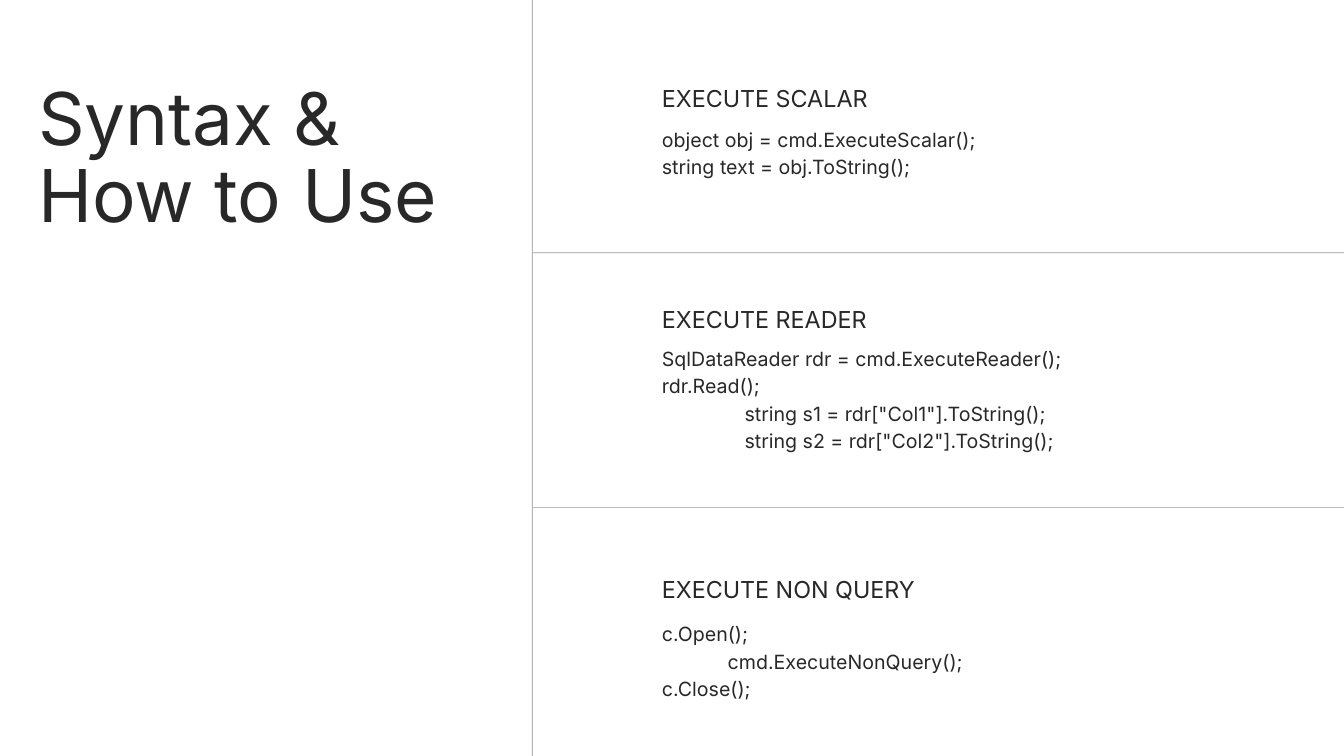
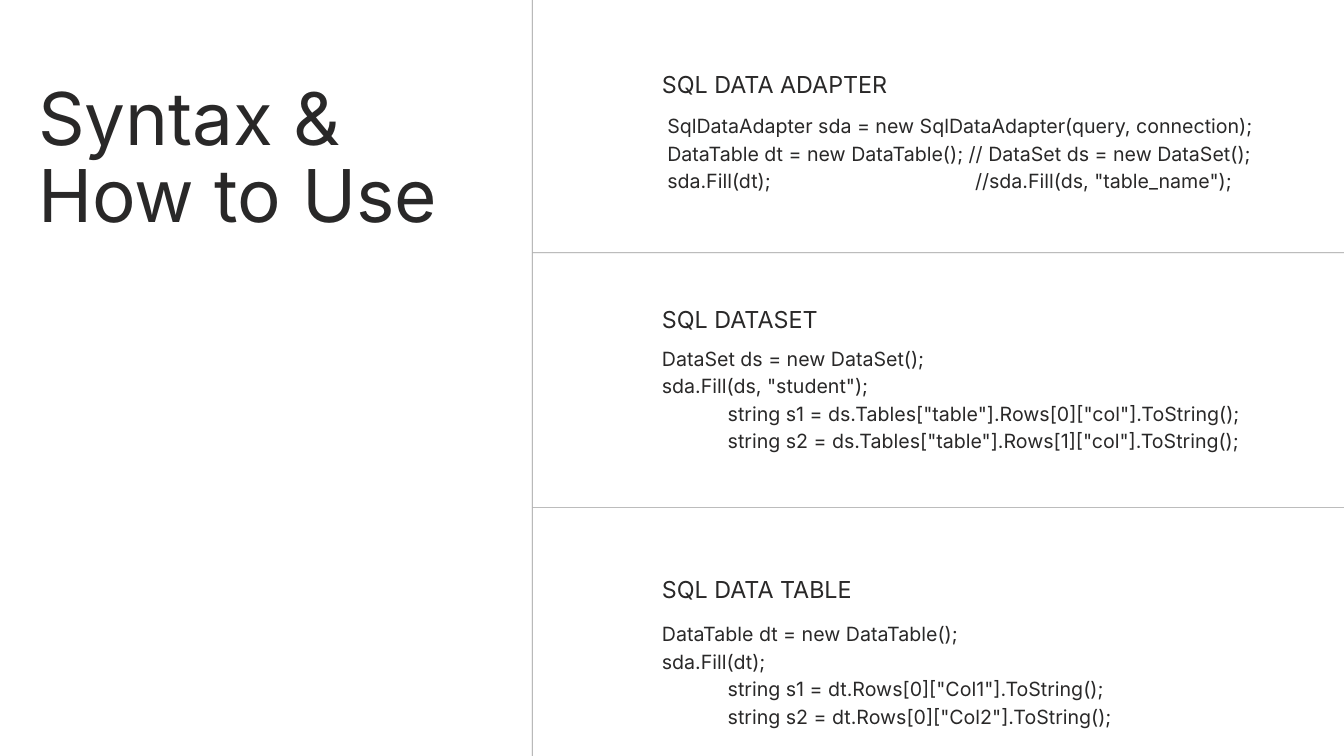
from collections import namedtuple

from lxml import etree
from pptx import Presentation, util as u
from pptx.dml.color import RGBColor
from pptx.enum import shapes, text
from pptx.oxml.ns import qn

Box = namedtuple("Box", "left top width height")
# Heading and code tops are measured from the top of the section's row
Section = namedtuple("Section", "heading heading_top code_top lines inset tab",
                     defaults=(0, None))

INK = "292828"
PAPER = "FFFFFF"
FONT = "Inter"
WIDTH, HEIGHT = 20, 11.25

TITLE = {"size": u.Pt(78), "spacing": u.Pt(81.9)}
HEADING = {"size": u.Pt(25), "spacing": u.Pt(35)}
CODE = {"size": u.Pt(21), "spacing": u.Pt(29.4)}
CODE_LINE = 0.4

# Layout: a title column, then three rows parted by rules
TITLE_BOX = Box(0.57, 1.25, 6.18, 2.31)
COLUMN_RULE = 7.92
BLEED = 0.14
ROW_LEFT = 7.93
ROW_EDGES = [0, 3.76, 7.55, HEIGHT]
ROWS = [Box(ROW_LEFT, top, WIDTH - ROW_LEFT, bottom - top)
        for top, bottom in zip(ROW_EDGES, ROW_EDGES[1:])]
TEXT_INDENT, TEXT_WIDTH = 1.92, 9.03

# Each code line is (indent in inches, text)
STEP, WIDE_STEP = 0.98, 1.23
SLIDES = [
    [
        Section("EXECUTE SCALAR", 1.18, 1.84, [
            (0, "object obj = cmd.ExecuteScalar();"),
            (0, "string text = obj.ToString();")]),
        Section("EXECUTE READER", 0.71, 1.34, [
            (0, "SqlDataReader rdr = cmd.ExecuteReader();"),
            (0, "rdr.Read();"),
            (WIDE_STEP, 'string s1 = rdr["Col1"].ToString();'),
            (WIDE_STEP, 'string s2 = rdr["Col2"].ToString();')]),
        Section("EXECUTE NON QUERY", 0.94, 1.65, [
            (0, "c.Open();"),
            (STEP, "cmd.ExecuteNonQuery();"),
            (0, "c.Close();")]),
    ],
    [
        Section("SQL DATA ADAPTER", 0.98, 1.64, [
            (0, "SqlDataAdapter sda = new SqlDataAdapter(query, connection);"),
            (0, "DataTable dt = new DataTable(); // DataSet ds = new DataSet();"),
            (0, 'sda.Fill(dt);\t//sda.Fill(ds, "table_name");')],
            inset=0.08, tab=4.58),
        Section("SQL DATASET", 0.71, 1.34, [
            (0, "DataSet ds = new DataSet();"),
            (0, 'sda.Fill(ds, "student");'),
            (STEP, 'string s1 = ds.Tables["table"].Rows[0]["col"].ToString();'),
            (STEP, 'string s2 = ds.Tables["table"].Rows[1]["col"].ToString();')]),
        Section("SQL DATA TABLE", 0.94, 1.65, [
            (0, "DataTable dt = new DataTable();"),
            (0, "sda.Fill(dt);"),
            (STEP, 'string s1 = dt.Rows[0]["Col1"].ToString();'),
            (STEP, 'string s2 = dt.Rows[0]["Col2"].ToString();')]),
    ],
]


def paint(color, value):
    color.rgb = RGBColor.from_string(value)


def set_indent(para, indent, tab):
    """Set the left margin and an optional tab stop, in inches."""
    properties = para._p.get_or_add_pPr()
    if indent:
        properties.set("marL", str(u.Inches(indent)))
    if tab:
        stops = etree.SubElement(properties, qn("a:tabLst"))
        etree.SubElement(stops, qn("a:tab"), pos=str(u.Inches(tab)), algn="l")


def add_text(parent, box, lines, style, inset=0, tab=None):
    frame = parent.add_textbox(*map(u.Inches, box)).text_frame
    settings = {"word_wrap": True, "margin_left": u.Inches(inset),
                "margin_top": 0, "margin_right": 0, "margin_bottom": 0,
                "auto_size": text.MSO_AUTO_SIZE.SHAPE_TO_FIT_TEXT}
    for name, value in settings.items():
        setattr(frame, name, value)
    for index, (indent, words) in enumerate(lines):
        para = frame.add_paragraph() if index else frame.paragraphs[0]
        para.line_spacing = style["spacing"]
        set_indent(para, indent, tab if "\t" in words else None)
        span = para.add_run()
        span.text = words
        for name, value in {"name": FONT, "size": style["size"]}.items():
            setattr(span.font, name, value)
        paint(span.font.color, INK)


def add_rule(page, start, end, opacity):
    rule = page.shapes.add_connector(shapes.MSO_CONNECTOR.STRAIGHT,
                                     *map(u.Inches, (*start, *end)))
    rule.line.width = u.Pt(0.75)
    paint(rule.line.color, INK)
    color = rule.line._ln.find(".//" + qn("a:srgbClr"))
    etree.SubElement(color, qn("a:alpha"), val=str(opacity * 1000))
    etree.SubElement(rule._element.spPr, qn("a:effectLst"))


def add_section(page, row, section):
    """Heading with its code below, grouped inside one row."""
    group = page.shapes.add_group_shape().shapes
    left = row.left + TEXT_INDENT
    add_text(group, Box(left, row.top + section.heading_top, TEXT_WIDTH, 0.45),
             [(0, section.heading)], HEADING)
    add_text(group, Box(left, row.top + section.code_top, TEXT_WIDTH,
                        CODE_LINE * len(section.lines)),
             section.lines, CODE, section.inset, section.tab)


def add_syntax_slide(deck, sections):
    page = deck.slides.add_slide(deck.slide_layouts[6])
    page.background.fill.solid()
    paint(page.background.fill.fore_color, PAPER)
    # Rules between the title column and the rows
    add_rule(page, (COLUMN_RULE, HEIGHT + BLEED), (COLUMN_RULE, -BLEED), 50)
    for row in ROWS[1:]:
        add_rule(page, (row.left, row.top), (row.left + row.width, row.top), 48)
    # Title and sections
    add_text(page.shapes, TITLE_BOX, [(0, "Syntax &"), (0, "How to Use")], TITLE)
    for row, section in zip(ROWS, sections):
        add_section(page, row, section)


def main():
    deck = Presentation()
    deck.slide_width, deck.slide_height = u.Inches(WIDTH), u.Inches(HEIGHT)
    for sections in SLIDES:
        add_syntax_slide(deck, sections)
    deck.save("out.pptx")


if __name__ == "__main__":
    main()
